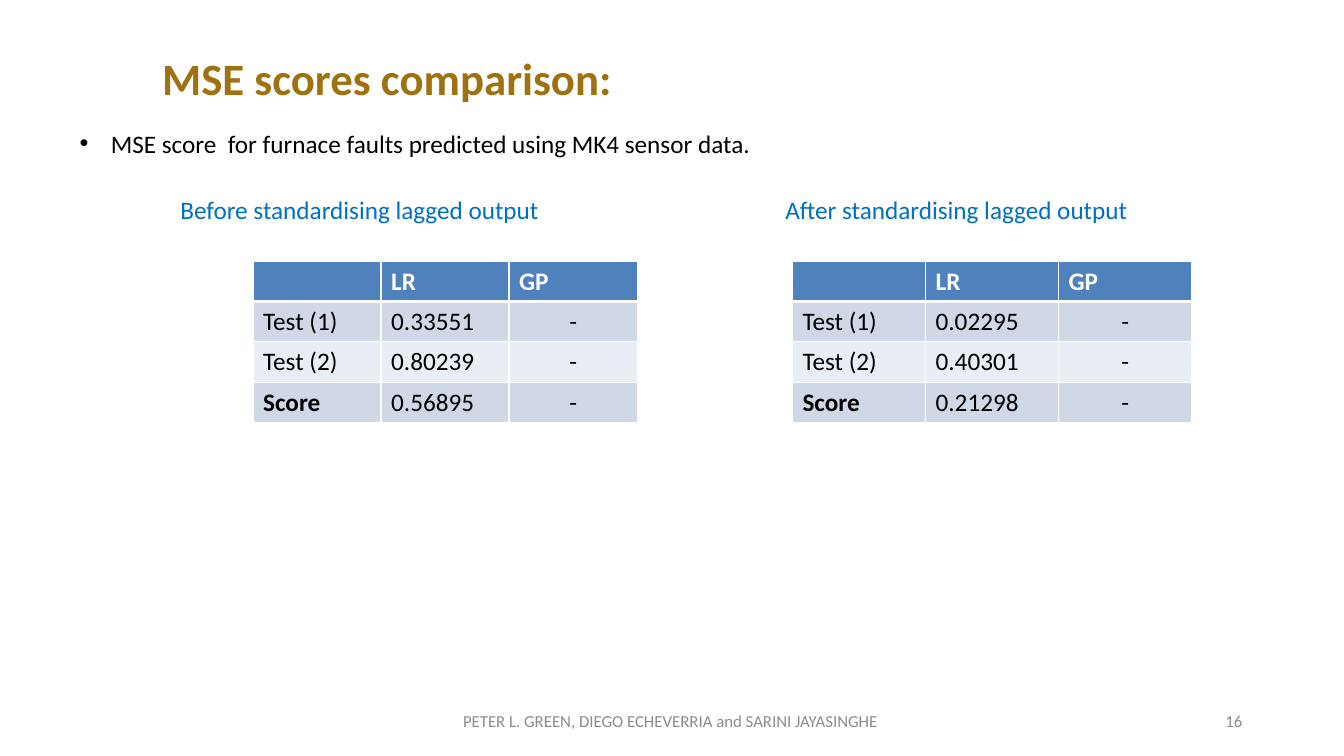
import pptx
import pptx.util
from lxml import etree
from pptx.dml.color import RGBColor
from pptx.enum.text import MSO_ANCHOR, PP_ALIGN
from pptx.oxml.ns import qn
from pptx.util import Inches, Pt

BLACK = RGBColor(0, 0, 0)
WHITE = RGBColor(0xFF, 0xFF, 0xFF)
GOLD = RGBColor(0xA0, 0x71, 0x11)
BLUE = RGBColor(0x00, 0x70, 0xC0)
GREY = RGBColor(0x8C, 0x8C, 0x8C)
HEADER = RGBColor(0x4F, 0x81, 0xBD)
BANDS = [RGBColor(0xD0, 0xD8, 0xE8), RGBColor(0xE9, 0xED, 0xF4)]

TITLE = "MSE scores comparison:"
BULLET = "MSE score  for furnace faults predicted using MK4 sensor data."
CAPTIONS = ["Before standardising lagged output", "After standardising lagged output"]
CAPTION_TABS = [1, 7]
FOOTER = "PETER L. GREEN, DIEGO ECHEVERRIA and SARINI JAYASINGHE "
PAGE = "16"

COLUMNS = ["", "LR", "GP"]
ROWS = ["Test (1)", "Test (2)", "Score"]
# left, column width, LR scores
TABLES = [
    (7.86, 1.32, ["0.02295", "0.40301", "0.21298"]),
    (2.51, 1.27, ["0.33551", "0.80239", "0.56895"]),
]
TABLE_TOP, ROW_HEIGHT = 2.59, 0.4


def write(p, text, size=18, color=BLACK, bold=False, align=PP_ALIGN.LEFT):
    p.alignment = align
    target = p
    if text:
        target = p.add_run()
        target.text = text
    target.font.name = "Calibri"
    target.font.size = Pt(size)
    target.font.bold = bold
    target.font.color.rgb = color


def add_box(s, left, top, width, height, anchor=MSO_ANCHOR.TOP):
    tf = s.shapes.add_textbox(*map(Inches, (left, top, width, height))).text_frame
    tf.word_wrap = True
    tf.vertical_anchor = anchor
    return tf


def add_bullet(p, indent):
    pPr = p._p.get_or_add_pPr()
    pPr.set("marL", str(Inches(indent)))
    pPr.set("indent", str(-Inches(indent)))
    etree.SubElement(pPr, qn("a:buFont")).set("typeface", "Arial")
    etree.SubElement(pPr, qn("a:buChar")).set("char", "•")


def add_tabs(p, stops):
    tabs = etree.SubElement(p._p.get_or_add_pPr(), qn("a:tabLst"))
    for stop in stops:
        tab = etree.SubElement(tabs, qn("a:tab"))
        tab.set("pos", str(Inches(stop)))
        tab.set("algn", "l")


def add_borders(cell, **widths):
    """Draw white cell edges; widths in points are keyed L, R, T and B."""
    tcPr = cell._tc.get_or_add_tcPr()
    for side, width in widths.items():
        ln = etree.SubElement(tcPr, qn("a:ln" + side))
        ln.set("w", str(Pt(width)))
        fill = etree.SubElement(ln, qn("a:solidFill"))
        etree.SubElement(fill, qn("a:srgbClr")).set("val", str(WHITE))


def add_score_table(s, left, col_width, scores):
    grid = [COLUMNS] + [[name, score, "-"] for name, score in zip(ROWS, scores)]
    n_rows, n_cols = len(grid), len(COLUMNS)
    table = s.shapes.add_table(
        n_rows, n_cols, Inches(left), Inches(TABLE_TOP),
        Inches(col_width * n_cols), Inches(ROW_HEIGHT * n_rows)).table
    for i, row in enumerate(grid):
        for j, text in enumerate(row):
            cell = table.cell(i, j)
            header = i == 0
            add_borders(cell, L=1, R=1, T=3 if i == 1 else 1, B=3 if header else 1)
            cell.fill.solid()
            cell.fill.fore_color.rgb = HEADER if header else BANDS[(i - 1) % 2]
            write(cell.text_frame.paragraphs[0], text,
                  color=WHITE if header else BLACK,
                  bold=header or text == "Score",
                  align=PP_ALIGN.CENTER if text == "-" else PP_ALIGN.LEFT)


def main():
    prs = pptx.Presentation()
    prs.slide_width, prs.slide_height = Inches(13.33), Inches(7.5)
    s = prs.slides.add_slide(prs.slide_layouts[6])

    tf = add_box(s, 4.42, 6.95, 4.5, 0.4, MSO_ANCHOR.MIDDLE)
    write(tf.paragraphs[0], FOOTER, size=12, color=GREY, align=PP_ALIGN.CENTER)
    tf = add_box(s, 9.42, 6.95, 3, 0.4, MSO_ANCHOR.MIDDLE)
    write(tf.paragraphs[0], PAGE, size=12, color=GREY, align=PP_ALIGN.RIGHT)
    tf = add_box(s, 1.51, 0.45, 9.66, 0.64)
    write(tf.paragraphs[0], TITLE, size=32, color=GOLD, bold=True)

    tf = add_box(s, 0.69, 1.22, 12.35, 3.67)
    p = tf.paragraphs[0]
    add_bullet(p, 0.31)
    write(p, BULLET)
    p = tf.add_paragraph()
    add_tabs(p, CAPTION_TABS)
    p.space_before = Pt(26)
    write(p, "".join("\t" + caption for caption in CAPTIONS), color=BLUE)

    for left, col_width, scores in TABLES:
        add_score_table(s, left, col_width, scores)
    prs.save("out.pptx")


if __name__ == "__main__":
    main()
